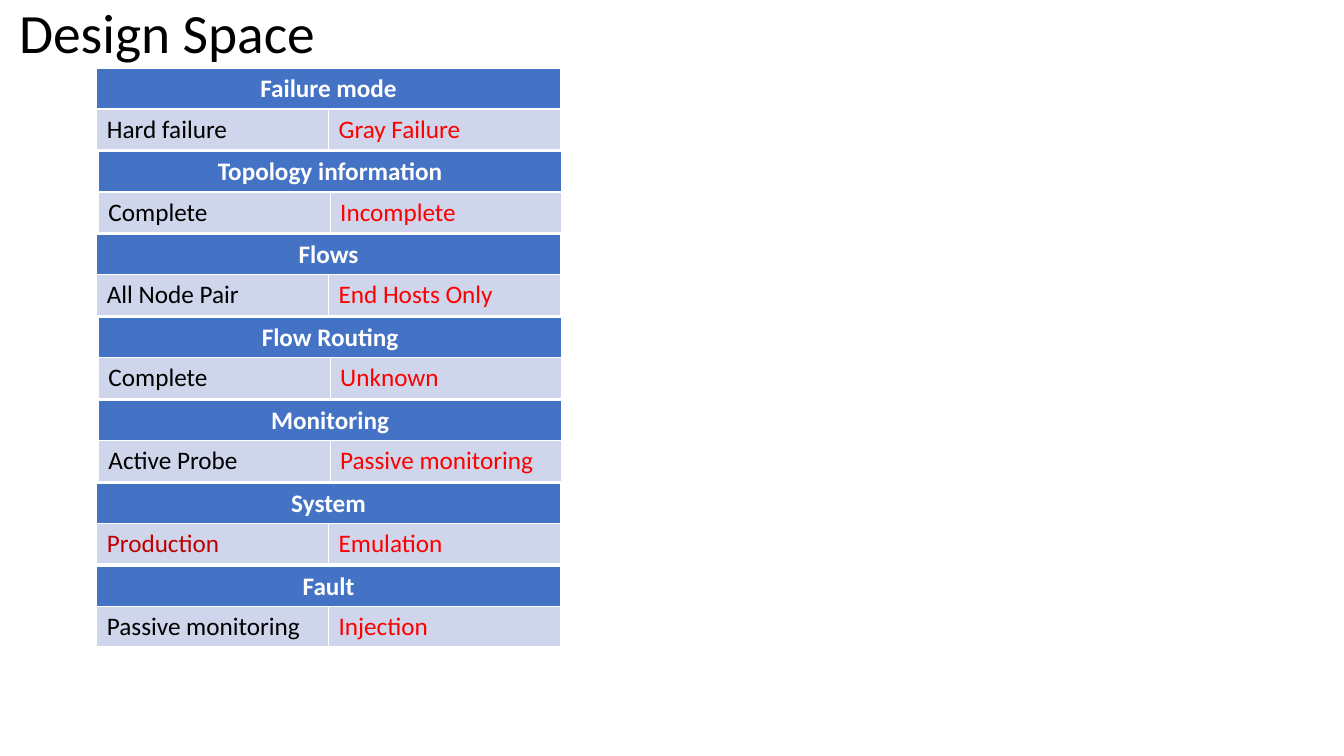
from dataclasses import dataclass

from pptx import Presentation
from pptx.dml.color import RGBColor as RGB
from pptx.enum.text import MSO_ANCHOR as Anchor, PP_ALIGN as Align
from pptx.util import Cm, Pt


@dataclass(frozen=True)
class Theme:
    font: str = "Calibri"
    title_size: float = 39.6
    table_size: float = 18
    black: str = "000000"
    white: str = "FFFFFF"
    red: str = "FF0000"
    dark_red: str = "C00000"
    header: str = "4472C4"
    body: str = "CFD5EA"


class Deck:
    """Draws styled elements on the current slide."""

    def __init__(self, prs, theme):
        self.theme = theme
        self.s = prs.slides.add_slide(prs.slide_layouts[6])

    def style(self, p, size, color, bold=False):
        p.font.name = self.theme.font
        p.font.size = Pt(size)
        p.font.bold = bold
        p.font.color.rgb = RGB.from_string(color)

    def title(self, text, x, y, w, h):
        tf = self.s.shapes.add_textbox(Cm(x), Cm(y), Cm(w), Cm(h)).text_frame
        tf.word_wrap = True
        tf.vertical_anchor = Anchor.MIDDLE
        p = tf.paragraphs[0]
        p.text = text
        p.line_spacing = 0.9
        self.style(p, self.theme.title_size, self.theme.black)

    def cell(self, cell, text, color, fill, bold=False):
        cell.text = text
        cell.fill.solid()
        cell.fill.fore_color.rgb = RGB.from_string(fill)
        p = cell.text_frame.paragraphs[0]
        self.style(p, self.theme.table_size, color, bold)
        return p

    def choice(self, heading, options, colors, x, y, w, h):
        t = self.theme
        table = self.s.shapes.add_table(2, 2, Cm(x), Cm(y), Cm(w), Cm(h)).table
        top = table.cell(0, 0)
        top.merge(table.cell(0, 1))
        self.cell(top, heading, t.white, t.header, True).alignment = Align.CENTER
        for col, (text, color) in enumerate(zip(options, colors)):
            self.cell(table.cell(1, col), text, color, t.body)


def main():
    prs = Presentation()
    prs.slide_width, prs.slide_height = Cm(33.87), Cm(19.05)
    theme = Theme()
    deck = Deck(prs, theme)
    deck.title("Design Space", 0.23, 0.2, 29.21, 1.37)

    left, inset, top, pitch = 2.44, 2.48, 1.73, 2.09
    plain, alert = (theme.black, theme.red), (theme.dark_red, theme.red)
    choices = [
        ("Failure mode", ("Hard failure", "Gray Failure"), plain, left),
        ("Topology information", ("Complete", "Incomplete"), plain, inset),
        ("Flows", ("All Node Pair", "End Hosts Only"), plain, left),
        ("Flow Routing", ("Complete", "Unknown"), plain, inset),
        ("Monitoring", ("Active Probe", "Passive monitoring"), plain, inset),
        ("System", ("Production", "Emulation"), alert, left),
        ("Fault", ("Passive monitoring", "Injection"), plain, left),
    ]
    for i, (heading, options, colors, x) in enumerate(choices):
        deck.choice(heading, options, colors, x, top + i * pitch, 11.68, 2.03)
    prs.save("out.pptx")


if __name__ == "__main__":
    main()
